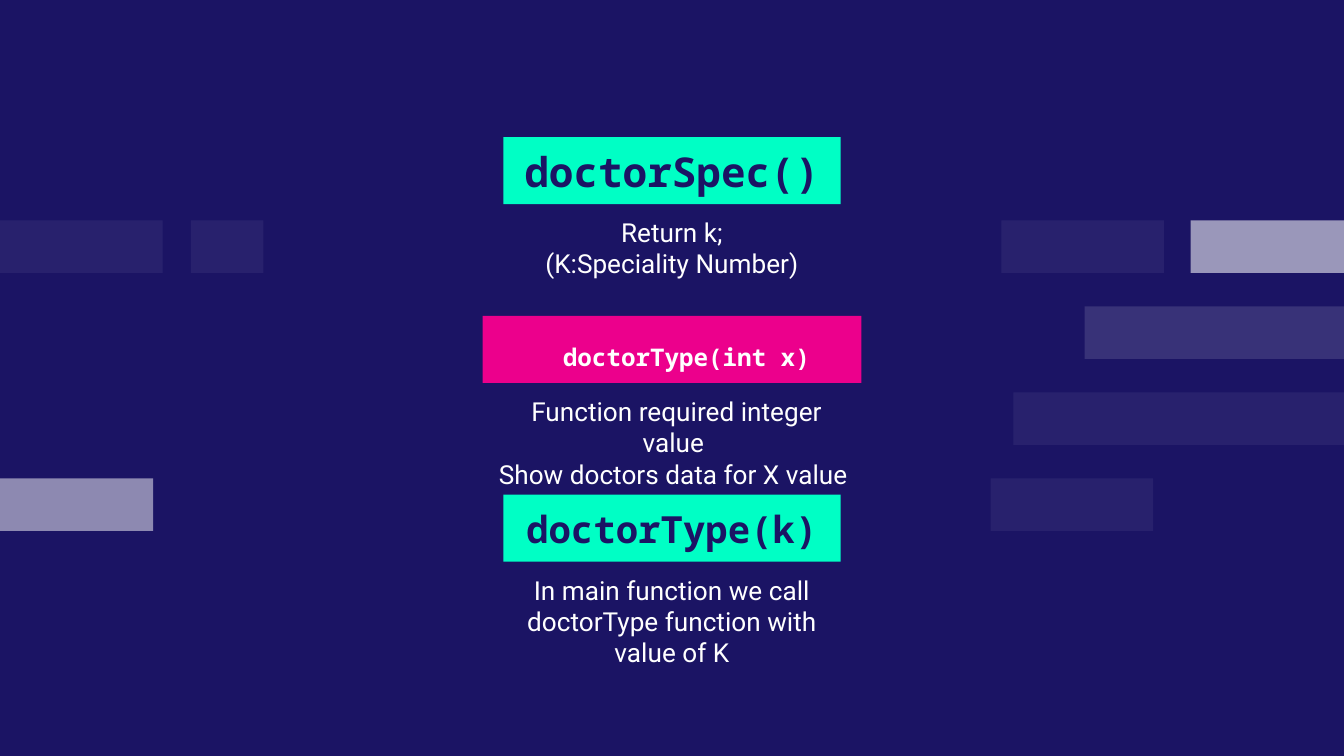
from lxml.etree import SubElement
from pptx import Presentation
from pptx.dml.color import RGBColor
from pptx.enum.shapes import MSO_SHAPE as Shape
from pptx.enum.text import MSO_ANCHOR as Anchor, MSO_AUTO_SIZE as AutoSize, PP_ALIGN as Align
from pptx.oxml.ns import qn
from pptx.util import Inches, Pt

NAVY = RGBColor(0x1B, 0x14, 0x64)
MINT = RGBColor(0x00, 0xFF, 0xC5)
PINK = RGBColor(0xEC, 0x00, 0x8C)
WHITE = RGBColor(0xFF, 0xFF, 0xFF)

SLIDE_WIDTH = 10
SLIDE_HEIGHT = SLIDE_WIDTH * 9 / 16
BAR_TOP, BAR_PITCH, BAR_HEIGHT = 1.64, 0.64, 0.39
STEP_TOP, STEP_PITCH, STEP_HEIGHT = 1.02, 1.33, 0.5
DETAIL_OFFSET = 0.59


def place(box, left, top, width, height):
    box.left, box.top = Inches(left), Inches(top)
    box.width, box.height = Inches(width), Inches(height)


def write(box, text, size, font, color, bold=False, align=Align.CENTER,
          anchor=Anchor.TOP, inset_top=0.1, indent=0, spacing=1.0):
    frame = box.text_frame
    frame.text = text
    frame.word_wrap = True
    frame.auto_size = AutoSize.NONE
    frame.vertical_anchor = anchor
    frame.margin_left = frame.margin_right = frame.margin_bottom = Inches(0.1)
    frame.margin_top = Inches(inset_top)
    for para in frame.paragraphs:
        properties = para._p.get_or_add_pPr()
        properties.set("marL", str(Inches(indent)))
        properties.set("indent", "0")
        SubElement(properties, qn("a:buNone"))
        para.alignment = align
        para.line_spacing = spacing
        para.space_before = para.space_after = Pt(0)
        for span in para.runs:
            span.font.name = font
            span.font.size = Pt(size)
            span.font.bold = bold
            span.font.color.rgb = color


deck = Presentation()
deck.slide_width, deck.slide_height = Inches(SLIDE_WIDTH), Inches(SLIDE_HEIGHT)
page = deck.slides.add_slide(deck.slide_layouts.get_by_name("Comparison"))
page.background.fill.solid()
page.background.fill.fore_color.rgb = NAVY

bars = [
    (0, 0, 1.21, 6), (0, 1.42, 1.96, 6), (0, 7.45, 8.66, 6), (0, 8.86, SLIDE_WIDTH, 56),
    (1, 8.07, SLIDE_WIDTH, 13),
    (2, 7.54, SLIDE_WIDTH, 6),
    (3, 0, 1.14, 50), (3, 7.37, 8.58, 6),
]
for row, left, right, opacity in bars:
    bar = page.shapes.add_shape(Shape.RECTANGLE, 0, 0, 0, 0)
    place(bar, left, BAR_TOP + row * BAR_PITCH, right - left, BAR_HEIGHT)
    bar.shadow.inherit = False
    bar.line.fill.background()
    bar.fill.solid()
    bar.fill.fore_color.rgb = WHITE
    tint = bar.fill._xPr.find(".//" + qn("a:srgbClr"))
    SubElement(tint, qn("a:alpha"), val=str(opacity * 1000))

centered = {"size": 22, "color": NAVY}
indented = {"size": 13, "color": WHITE, "align": Align.LEFT, "indent": 0.5, "spacing": 1.5}
steps = [
    ("doctorSpec()", centered, MINT, 2.51, "Return k;\n(K:Speciality Number)"),
    ("doctorType(int x)", indented, PINK, 2.82,
     " Function required integer value\nShow doctors data for X value"),
    ("doctorType(k)", centered | {"size": 20}, MINT, 2.51,
     "In main function we call doctorType function with value of K"),
]
title, *details, spare = list(page.placeholders)
spare.element.getparent().remove(spare.element)
for row, ((name, style, fill, width, text), detail) in enumerate(zip(steps, details)):
    left, top = (SLIDE_WIDTH - width) / 2, STEP_TOP + row * STEP_PITCH
    if row == 0:
        heading = title
    else:
        heading = page.shapes.add_shape(Shape.RECTANGLE, 0, 0, 0, 0)
        heading.shadow.inherit = False
    place(heading, left, top, width, STEP_HEIGHT)
    heading.fill.solid()
    heading.fill.fore_color.rgb = fill
    heading.line.fill.background()
    write(heading, name, font="Noto Sans Mono", bold=True, anchor=Anchor.MIDDLE, **style)
    place(detail, left + 0.01 * (row == 1), top + DETAIL_OFFSET, width, STEP_HEIGHT)
    write(detail, text, size=14, font="Roboto", color=WHITE, inset_top=0)

deck.save("out.pptx")
